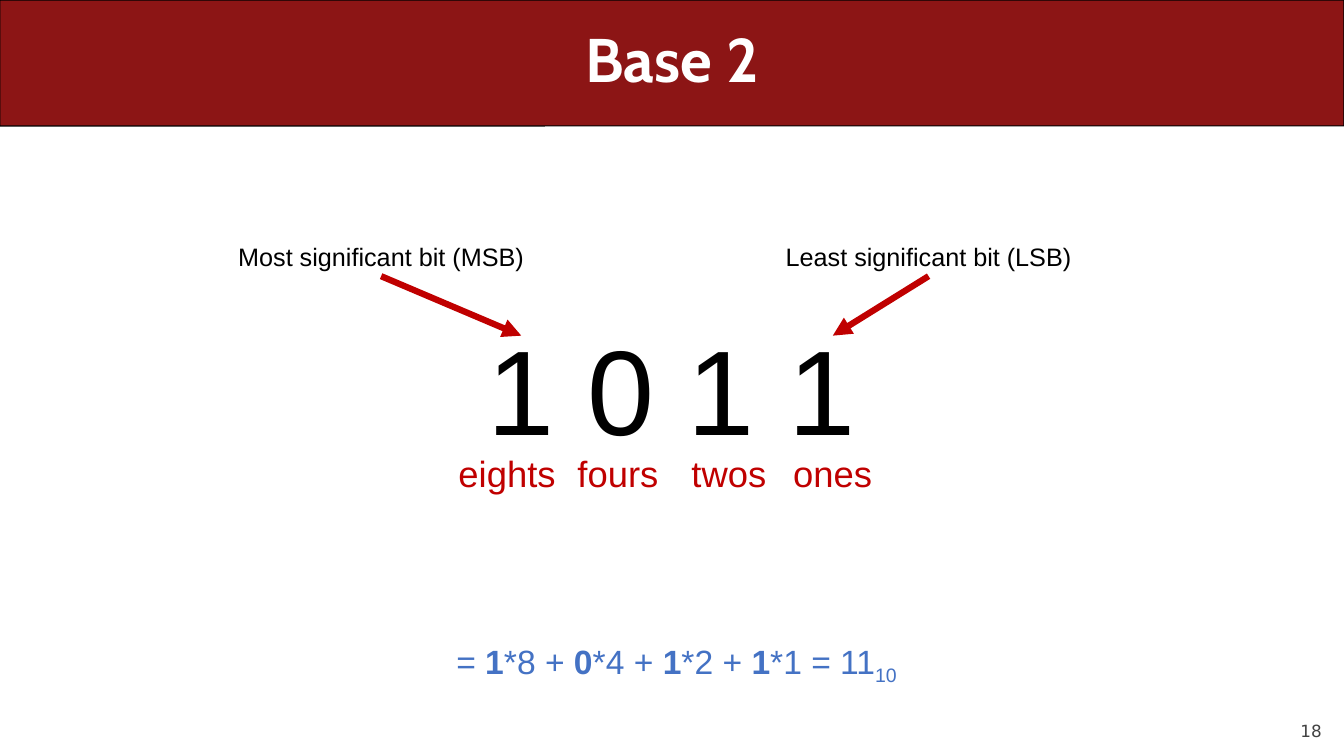
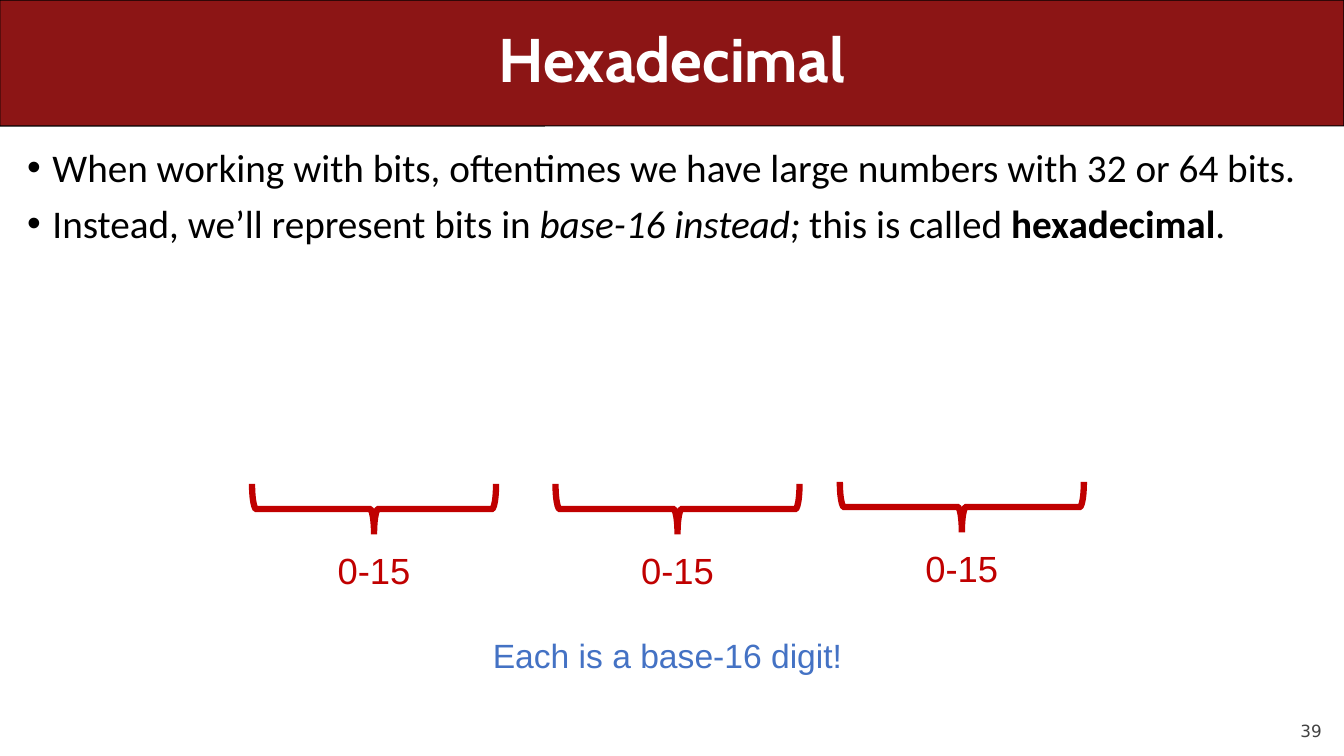
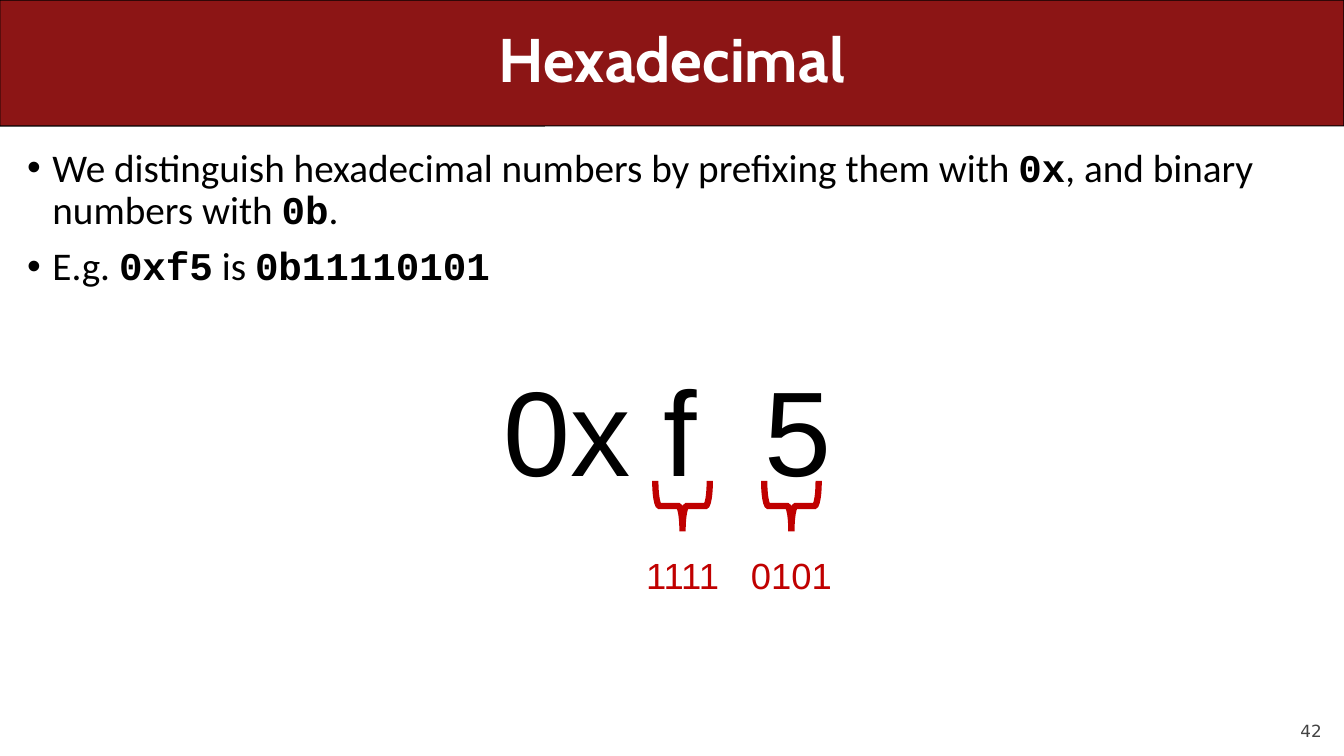
from lxml import etree
from pptx import Presentation
from pptx import util as u
from pptx.dml.color import RGBColor
from pptx.enum import shapes, text
from pptx.oxml.ns import qn

COLORS = {
    "band": "8C1515",
    "accent": "C00000",
    "note": "4472C4",
    "ink": "000000",
    "title": "FFFFFF",
    "number": "424242",
}
SLIDE_WIDTH, SLIDE_HEIGHT, BAND_HEIGHT = 13.33, 7.5, 1.25
BOLD, ITALIC = {"bold": True}, {"italic": True}
CODE = {"bold": True, "name": "Courier New"}
LABEL_WIDTH, LABEL_HEIGHT, LABEL_SIZE = 1.2, 0.54, 26
BRACE_DEPTH = 0.5


def rgb(color):
    """Return the named colour."""
    return RGBColor.from_string(COLORS[color])


def inches(*lengths):
    """Convert lengths in inches."""
    return [u.Inches(length) for length in lengths]


def place(part, left, top, width, height):
    """Move a part to a box."""
    part.left, part.top, part.width, part.height = inches(left, top, width, height)


def write(paragraph, content, size, color, font="Arial", bold=False):
    """Write strings and (string, font settings) pairs in one paragraph."""
    paragraph.font.size = u.Pt(size)
    paragraph.font.name = font
    paragraph.font.bold = bold
    paragraph.font.color.rgb = rgb(color)
    for piece in [content] if isinstance(content, str) else content:
        words, settings = (piece, {}) if isinstance(piece, str) else piece
        run = paragraph.add_run()
        run.text = words
        for setting, value in settings.items():
            if setting in ("spc", "baseline"):
                run._r.get_or_add_rPr().set(setting, str(value))
            else:
                setattr(run.font, setting, value)


def label(slide, content, center, top, width, height, size, color):
    """Add a centred one-line label around a horizontal centre."""
    box = slide.shapes.add_textbox(*inches(center - width / 2, top, width, height))
    box.text_frame.word_wrap = False
    paragraph = box.text_frame.paragraphs[0]
    paragraph.alignment = text.PP_ALIGN.CENTER
    write(paragraph, content, size, color)
    return box


def arrow(slide, source, x, y):
    """Point an arrow from the bottom of a label to a place."""
    pointer = slide.shapes.add_connector(
        shapes.MSO_CONNECTOR.STRAIGHT, *inches(0, 0, x, y))
    pointer.begin_connect(source, 2)
    pointer.line.color.rgb = rgb("accent")
    pointer.line.width = u.Pt(4.5)
    etree.SubElement(pointer.line._get_or_add_ln(), qn("a:tailEnd"), type="triangle")
    etree.SubElement(pointer._element.spPr, qn("a:effectLst"))


def digit_brace(slide, meaning, center, middle, span, gap):
    """Add a brace under a group of digits, with its meaning below."""
    brace = slide.shapes.add_shape(
        shapes.MSO_SHAPE.LEFT_BRACE,
        *inches(center - BRACE_DEPTH / 2, middle - span / 2, BRACE_DEPTH, span))
    brace.rotation = 270
    brace.shadow.inherit = False
    brace.fill.background()
    brace.line.color.rgb = rgb("accent")
    brace.line.width = u.Pt(4.5)
    etree.SubElement(brace.line._get_or_add_ln(), qn("a:miter"), lim="800000")
    label(slide, meaning, center, middle + gap,
          LABEL_WIDTH, LABEL_HEIGHT, LABEL_SIZE, "accent")


def add_master_band(deck, slide):
    """Draw the title band and put it on the slide master."""
    band = slide.shapes.add_shape(
        shapes.MSO_SHAPE.ROUNDED_RECTANGLE, *inches(0, 0, SLIDE_WIDTH, BAND_HEIGHT))
    band.adjustments[0] = 0.001
    band.shadow.inherit = False
    band.fill.solid()
    band.fill.fore_color.rgb = rgb("band")
    band.line.color.rgb = rgb("ink")
    band.line.width = u.Pt(0.75)
    band._element.nvSpPr.cNvPr.set("id", "100")
    deck.slide_master.shapes._spTree.insert(2, band._element)


def new_slide(deck, heading, number, bullets=()):
    """Add a slide with its title, number and optional bullet list."""
    slide = deck.slides.add_slide(deck.slide_layouts[1 if bullets else 5])
    title = slide.shapes.title
    place(title, 0.5, 0, 12.33, BAND_HEIGHT)
    title.text_frame.vertical_anchor = text.MSO_ANCHOR.MIDDLE
    title.text_frame.auto_size = text.MSO_AUTO_SIZE.NONE
    paragraph = title.text_frame.paragraphs[0]
    paragraph.alignment = text.PP_ALIGN.CENTER
    paragraph.line_spacing = 0.9
    write(paragraph, heading, 44, "title", "Cabin", True)

    page = slide.shapes.add_textbox(*inches(12, 6.95, 1.11, 0.4)).text_frame
    page.word_wrap = True
    page.margin_left = page.margin_right = page.margin_top = page.margin_bottom = 0
    page.vertical_anchor = text.MSO_ANCHOR.BOTTOM
    page.paragraphs[0].alignment = text.PP_ALIGN.RIGHT
    write(page.paragraphs[0], str(number), 12, "number", "DejaVu Sans")

    if bullets:
        bullet_list(slide.placeholders[1], bullets)
    return slide


def bullet_list(body, bullets):
    """Fill the body placeholder with bullets."""
    place(body, 0.17, 1.42, 12.92, 5.67)
    frame = body.text_frame
    frame.auto_size = text.MSO_AUTO_SIZE.NONE
    for index, content in enumerate(bullets):
        paragraph = frame.add_paragraph() if index else frame.paragraphs[0]
        properties = paragraph._p.get_or_add_pPr()
        properties.set("marL", str(u.Inches(0.25)))
        properties.set("indent", str(u.Inches(-0.25)))
        paragraph.line_spacing = 0.9
        paragraph.space_before = u.Pt(10 if index else 0)
        write(paragraph, content, 28, "ink", "Calibri")


def base_two(deck):
    """Build the slide on binary place values."""
    slide = new_slide(deck, "Base 2", 18)
    add_master_band(deck, slide)
    label(slide, "1 0 1 1", 6.66, 3.08, 5.08, 1.55, 86, "ink")
    for place_value, center in (
            ("eights", 5.03), ("fours", 6.13), ("twos", 7.23), ("ones", 8.26)):
        label(slide, place_value, center, 4.43,
              LABEL_WIDTH, LABEL_HEIGHT, LABEL_SIZE, "accent")
    label(slide, [
        "= ", ("1", BOLD), "*8 + ", ("0", BOLD), "*4 + ", ("1", BOLD), "*2 + ",
        ("1", BOLD), "*1 = 11", ("10", {"baseline": -25000}),
    ], 6.71, 6.31, 4.62, 0.5, 24, "note")
    for bit, center, tip in (
            ("Most significant bit (MSB)", 3.78, 5.17),
            ("Least significant bit (LSB)", 9.21, 8.26)):
        bit_label = label(slide, bit, center, 2.34, 3.06, 0.4, 18, "ink")
        arrow(slide, bit_label, tip, 3.33)


def hexadecimal_digits(deck):
    """Build the slide that groups bits into base-16 digits."""
    slide = new_slide(deck, "Hexadecimal", 39, [
        "When working with bits, oftentimes we have large numbers with 32 or 64 bits.",
        ["Instead, we’ll represent bits in ", ("base-16 instead; ", ITALIC),
         "this is called ", ("hexadecimal", BOLD), "."],
    ])
    for center, middle in ((3.71, 5.05), (6.72, 5.05), (9.54, 5.03)):
        digit_brace(slide, "0-15", center, middle, 2.42, 0.34)
    label(slide, "Each is a base-16 digit!", 6.62, 6.25, 3.7, 0.5, 24, "note")


def hexadecimal_prefix(deck):
    """Build the slide on number prefixes."""
    slide = new_slide(deck, "Hexadecimal", 42, [
        ["We distinguish hexadecimal numbers by prefixing them with ", ("0x", CODE),
         ", and binary numbers with ", ("0b", CODE), "."],
        ["E.g. ", ("0xf5", CODE), " is ", ("0b11110101", CODE)],
    ])
    label(slide, ["0x f", (" ", {"spc": 2390}), "5"], 6.62, 3.48, 3.49, 1.55, 86, "ink")
    for bits, center in (("1111", 6.77), ("0101", 7.85)):
        digit_brace(slide, bits, center, 5.02, 0.54, 0.42)


def main():
    """Build and save the deck."""
    deck = Presentation()
    deck.slide_width, deck.slide_height = inches(SLIDE_WIDTH, SLIDE_HEIGHT)
    base_two(deck)
    hexadecimal_digits(deck)
    hexadecimal_prefix(deck)
    deck.save("out.pptx")


if __name__ == "__main__":
    main()
